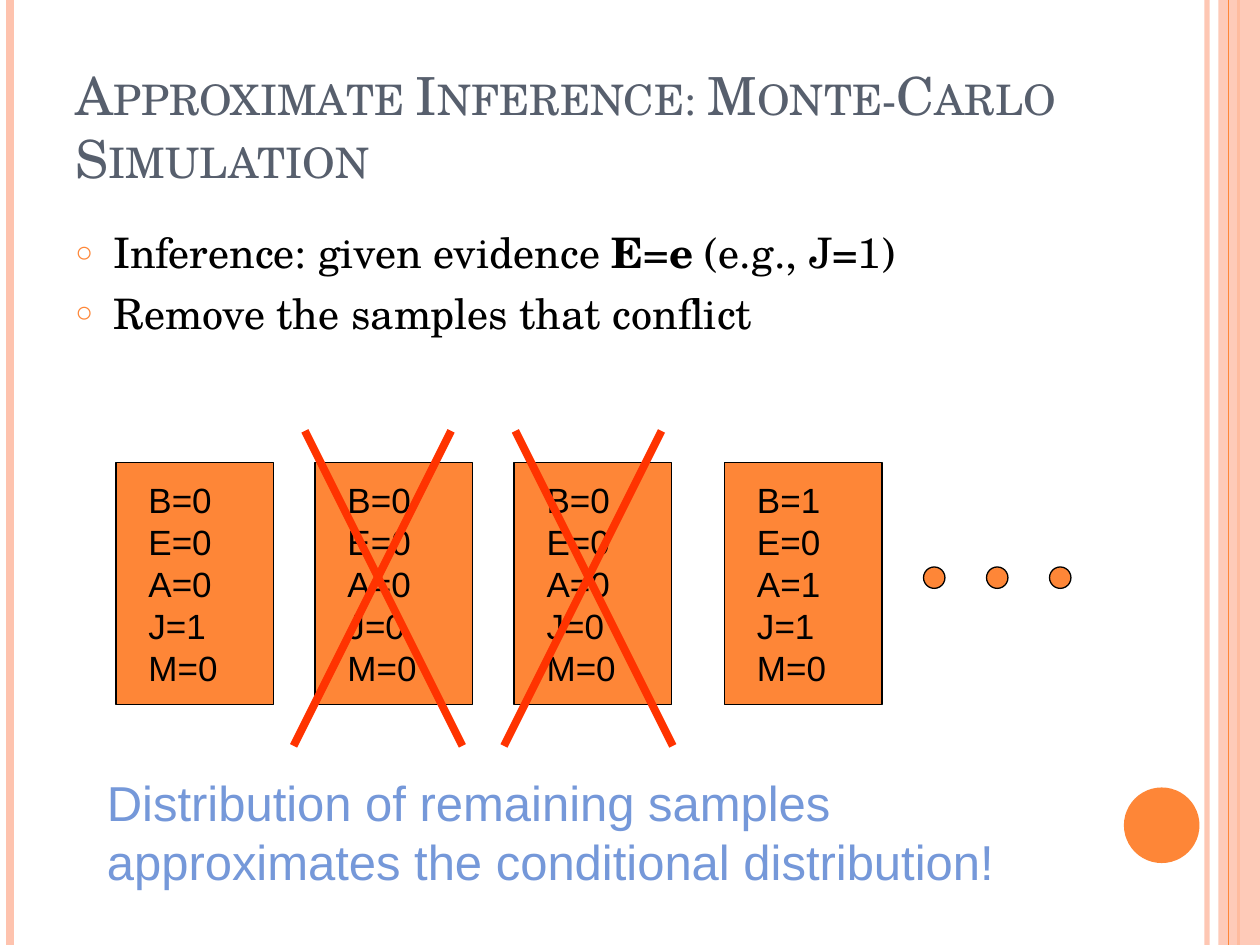
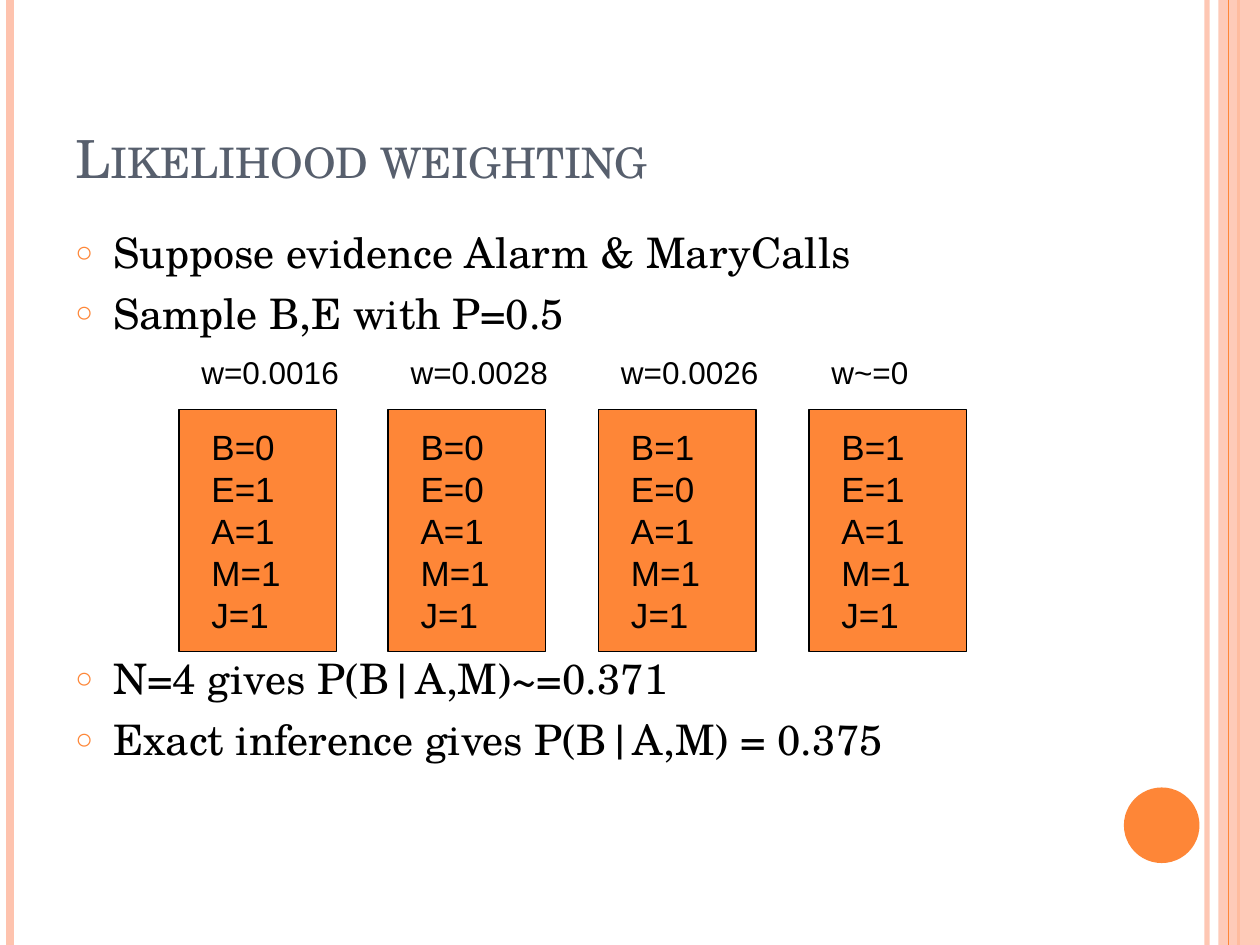
from lxml.etree import SubElement
from pptx import Presentation
from pptx.dml.color import RGBColor
from pptx.enum.shapes import MSO_CONNECTOR as Connector, MSO_SHAPE as Geometry
from pptx.enum.text import MSO_ANCHOR as Anchor
from pptx.oxml.ns import qn
from pptx.util import Inches, Pt

ORANGE, PEACH, RED = "FE8637", "FEC3AE", "FF3300"
BLACK, SLATE, BLUE = "000000", "575F6D", "7598D9"
SERIF, SANS = "TeX Gyre Schola", "Arial"
BOX_WIDTH, BOX_HEIGHT = 1.25, 1.92
TEXT_INSET = 0.16
color = RGBColor.from_string


def draw(slide, geometry, place, paint, width=0, opacity=100):
    lengths = [Inches(value) for value in place]
    if geometry is Connector.STRAIGHT:
        shape = slide.shapes.add_connector(geometry, *lengths)
        SubElement(shape.element.spPr, qn("a:effectLst"))
        shape.line.color.rgb = color(paint)
        shape.line.width = Pt(width)
    else:
        shape = slide.shapes.add_shape(geometry, *lengths)
        shape.shadow.inherit = False
        shape.fill.solid()
        shape.fill.fore_color.rgb = color(paint)
        if width:
            shape.line.color.rgb = color(BLACK)
            shape.line.width = Pt(width)
        else:
            shape.line.fill.background()
    if opacity < 100:
        painted = shape.element.spPr.find(".//" + qn("a:srgbClr"))
        SubElement(painted, qn("a:alpha"), val=str(opacity * 1000))


def write(slide, place, paragraphs, size, font, paint):
    box = slide.shapes.add_textbox(*[Inches(value) for value in place])
    frame = box.text_frame
    frame.word_wrap = True
    for index, runs in enumerate(paragraphs):
        paragraph = frame.paragraphs[0] if index == 0 else frame.add_paragraph()
        for text, bold in runs:
            run = paragraph.add_run()
            run.text = text
            run.font.name = font
            run.font.size = Pt(size)
            run.font.bold = bold
            run.font.color.rgb = color(paint)
    return frame


frame_parts = [
    (Connector.STRAIGHT, (9.58, 0, 9.58, 7.5), PEACH, 3, 93),
    (Connector.STRAIGHT, (0.08, 0, 0.08, 7.5), PEACH, 4.5, 100),
    (Connector.STRAIGHT, (9.83, 0, 9.83, 7.5), ORANGE, 1.5, 100),
    (Geometry.RECTANGLE, (9.67, 0, 0.33, 7.5), PEACH, 0, 87),
    (Connector.STRAIGHT, (9.75, 0, 9.75, 7.5), ORANGE, 0.75, 100),
    (Geometry.OVAL, (8.92, 6.25, 0.6, 0.6), ORANGE, 0, 100),
]

contents = [
    {
        "title": "Approximate Inference: Monte-Carlo Simulation",
        "bullets": [
            (6, [("Inference: given evidence ", False), ("E", True), ("=", False),
                 ("e", True), (" (e.g., J=1)", False)]),
            (6, [("Remove the samples that conflict", False)]),
        ],
        "sample_top": 3.67,
        "variables": "BEAJM",
        "samples": [(0.92, "00010"), (2.5, "00000"), (4.08, "00000"), (5.75, "10110")],
        "weights": [],
    },
    {
        "title": "Likelihood weighting",
        "bullets": [
            (6, [("Suppose evidence Alarm & MaryCalls", False)]),
            (6, [("Sample B,E with P=0.5", False)]),
            (180, [("N=4 gives P(B|A,M)~=0.371", False)]),
            (6, [("Exact inference gives P(B|A,M) = 0.375", False)]),
        ],
        "sample_top": 3.25,
        "variables": "BEAMJ",
        "samples": [(1.42, "01111"), (3.08, "00111"), (4.75, "10111"), (6.42, "11111")],
        "weights": ["w=0.0016", "w=0.0028", "w=0.0026", "w~=0"],
    },
]

presentation = Presentation()
presentation.slide_width = Inches(10)
presentation.slide_height = Inches(7.5)

for content in contents:
    slide = presentation.slides.add_slide(presentation.slide_layouts[6])
    for part in frame_parts:
        draw(slide, *part)

    title = write(slide, (0.5, 0.3, 8.17, 1.25), [[(content["title"], False)]],
                  30, SERIF, SLATE)
    title.vertical_anchor = Anchor.BOTTOM
    title.paragraphs[0].runs[0]._r.get_or_add_rPr().set("cap", "small")

    body = write(slide, (0.5, 1.75, 8.17, 5.33),
                 [runs for gap, runs in content["bullets"]], 24, SERIF, BLACK)
    for paragraph, (gap, runs) in zip(body.paragraphs, content["bullets"]):
        paragraph.space_before = Pt(gap)
        properties = paragraph._p.get_or_add_pPr()
        properties.set("marL", str(Inches(0.3)))
        properties.set("indent", str(Inches(-0.3)))
        bullet_color = SubElement(properties, qn("a:buClr"))
        SubElement(bullet_color, qn("a:srgbClr"), val=ORANGE)
        SubElement(properties, qn("a:buSzPct"), val="70000")
        SubElement(properties, qn("a:buFont"), typeface=SANS)
        SubElement(properties, qn("a:buChar"), char="○")

    top = content["sample_top"]
    for left, values in content["samples"]:
        draw(slide, Geometry.RECTANGLE, (left, top, BOX_WIDTH, BOX_HEIGHT), ORANGE, 0.75)
        assignments = [[(f"{variable}={value}", False)]
                       for variable, value in zip(content["variables"], values)]
        write(slide, (left + TEXT_INSET, top + 0.08, 1.17, 1.77),
              assignments, 20, SANS, BLACK)
    for (left, values), weight in zip(content["samples"], content["weights"]):
        write(slide, (left + 0.08, 2.75, 1.42, 0.4), [[(weight, False)]], 18, SANS, BLACK)

simulation = presentation.slides[0]
for left in (7.33, 7.83, 8.33):
    draw(simulation, Geometry.OVAL, (left, 4.5, 0.17, 0.17), ORANGE, 0.75)
for left in (2.33, 4):
    for start, end in ((0.09, 1.34), (1.25, 0)):
        draw(simulation, Connector.STRAIGHT, (left + start, 3.42, left + end, 5.92), RED, 4.5)
conclusion = "Distribution of remaining samples approximates the conditional distribution!"
write(simulation, (0.75, 6.08, 7.83, 1.03), [[(conclusion, False)]], 28, SANS, BLUE)

presentation.save("out.pptx")
